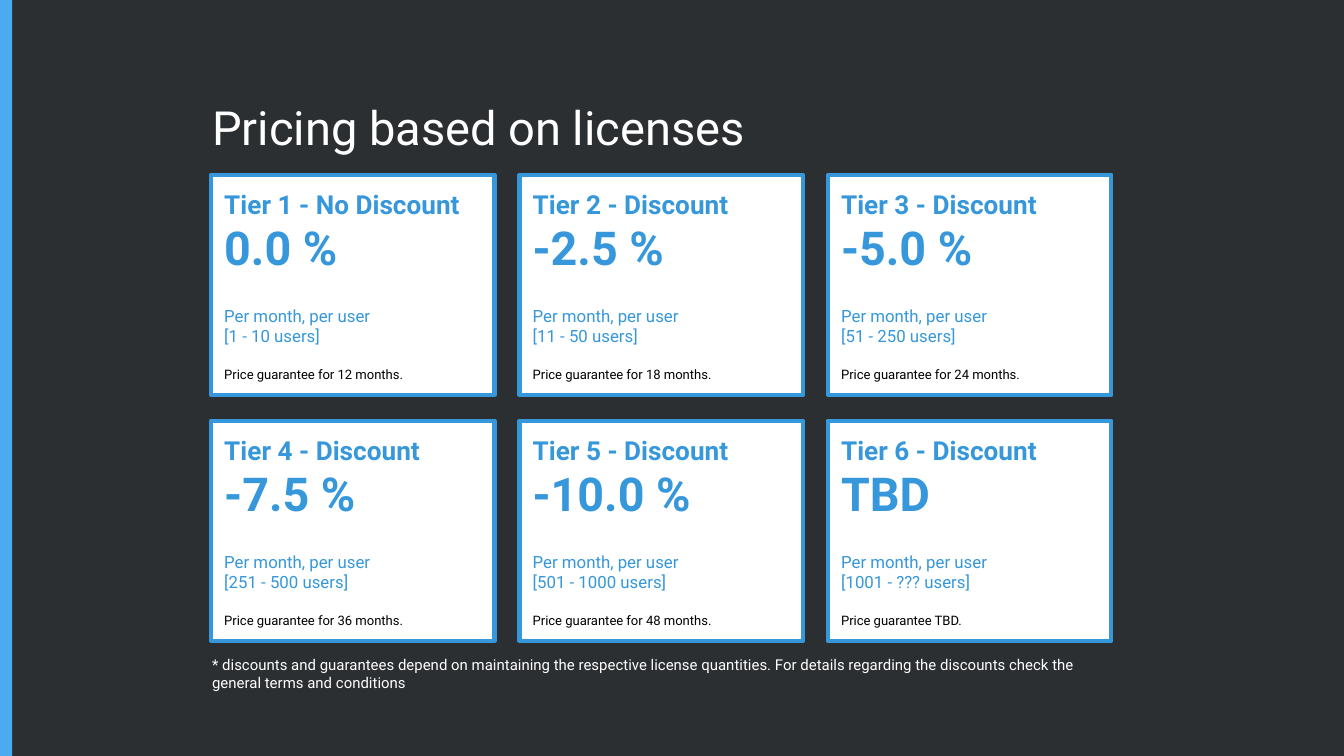
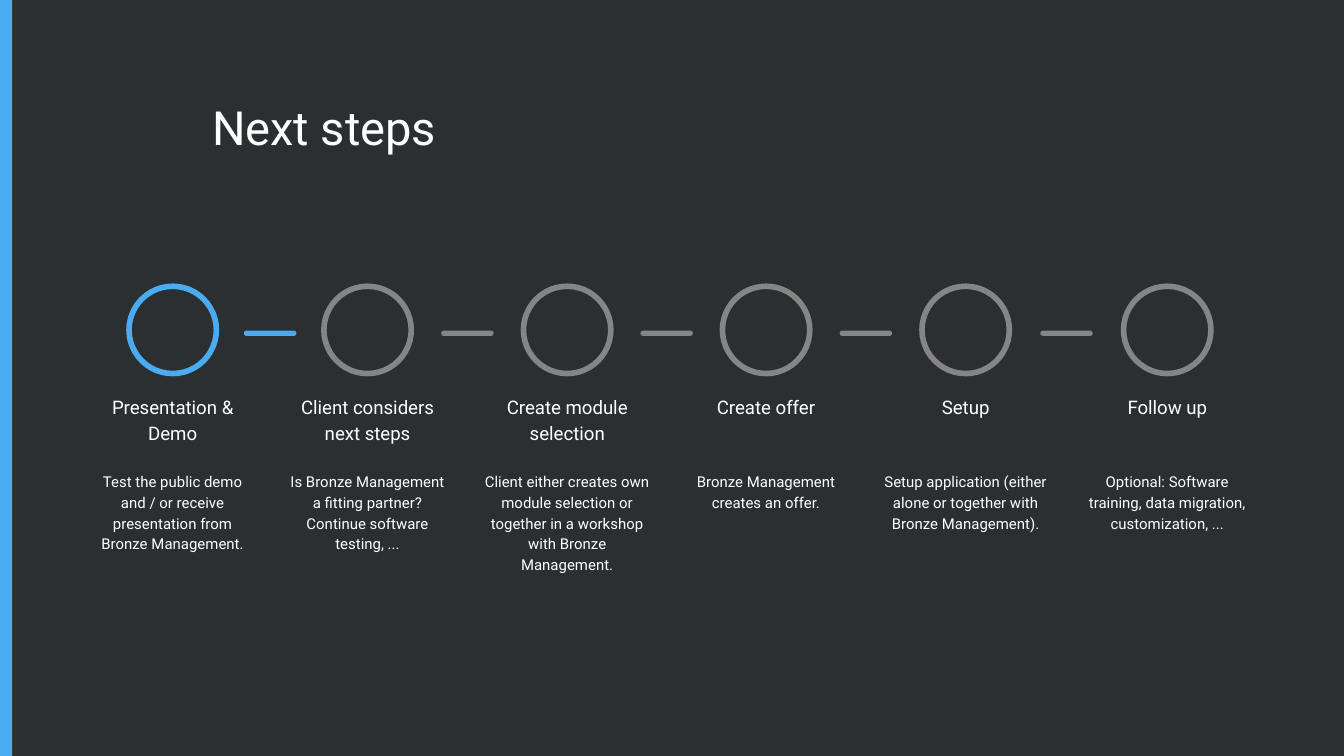
from dataclasses import dataclass

from pptx import Presentation
from pptx import util as u
from pptx.dml import color
from pptx.enum import shapes, text


@dataclass(frozen=True)
class Theme:
    """Colours, font and type sizes of the presentation."""
    background: str = "2C2F32"
    accent: str = "4AABF0"
    card: str = "3697DB"
    muted: str = "858585"
    light: str = "FFFFFF"
    dark: str = "000000"
    font: str = "Roboto"
    title: float = 25.2
    figure: float = 25
    tier: float = 14
    step: float = 10
    body: float = 9
    note: float = 8
    small: float = 7


def apply(target, values):
    """Set every attribute named in a dict of format values."""
    for name, value in values.items():
        setattr(target, name, value)


class Deck:
    """Draws elements on the current slide, on a grid of 100 columns of square cells."""

    def __init__(self, theme):
        """Open a presentation in 16:9 format."""
        self.theme = theme
        self.presentation = Presentation()
        apply(self.presentation, {"slide_width": u.Inches(10), "slide_height": u.Inches(5.625)})
        self.cell = self.presentation.slide_width / 100
        self.rows = self.presentation.slide_height / self.cell
        self.slide = None

    def box(self, *cells):
        """Turn left, top, width and height in cells into lengths."""
        return [u.Emu(round(cell * self.cell)) for cell in cells]

    def new_slide(self, title):
        """Start a slide with background, side band and title."""
        self.slide = self.presentation.slides.add_slide(self.presentation.slide_layouts[6])
        fill = self.slide.background.fill
        fill.solid()
        fill.fore_color.rgb = color.RGBColor.from_string(self.theme.background)
        self.shape("RECTANGLE", (0, 0, 0.9, self.rows), fill=self.theme.accent)
        self.text((14.8, 6.3, 70.3, 6.3), [self.line(title, self.theme.title)])

    def line(self, words, size, ink=None, bold=False, **spacing):
        """Describe one paragraph."""
        font = {"name": self.theme.font, "size": u.Pt(size), "bold": bold}
        return words, font, ink or self.theme.light, spacing

    def fill_text(self, shape, lines, **frame_format):
        """Fill a shape with paragraphs."""
        frame = shape.text_frame
        margins = dict.fromkeys(
            ("margin_left", "margin_top", "margin_right", "margin_bottom"), u.Inches(0.1))
        apply(frame, {"word_wrap": True, **margins, **frame_format})
        for index, (words, font, ink, spacing) in enumerate(lines):
            paragraph = frame.add_paragraph() if index else frame.paragraphs[0]
            apply(paragraph, {"alignment": text.PP_ALIGN.LEFT, **spacing})
            run = paragraph.add_run()
            run.text = words
            apply(run.font, font)
            run.font.color.rgb = color.RGBColor.from_string(ink)

    def text(self, cells, lines, **frame_format):
        """Add a text box."""
        shape = self.slide.shapes.add_textbox(*self.box(*cells))
        self.fill_text(shape, lines, **{"vertical_anchor": text.MSO_ANCHOR.TOP, **frame_format})

    def shape(self, kind, cells, fill=None, outline=None, weight=0):
        """Add a preset shape with an optional fill and outline."""
        shape = self.slide.shapes.add_shape(
            getattr(shapes.MSO_SHAPE, kind), *self.box(*cells))
        shape.shadow.inherit = False
        for part, ink in ((shape.fill, fill), (shape.line.fill, outline)):
            if ink:
                part.solid()
                part.fore_color.rgb = color.RGBColor.from_string(ink)
            else:
                part.background()
        if outline:
            shape.line.width = u.Pt(weight)
        return shape

    def price_card(self, column, row, tier, figure, users, guarantee):
        """Add a bordered card for one price tier."""
        theme = self.theme
        cells = (15.7 + 22.95 * column, 13 + 18.3 * row, 21.1, 16.4)
        card = self.shape("RECTANGLE", cells, theme.light, theme.card, 2.25)
        self.fill_text(card, [
            self.line(tier, theme.tier, theme.card, True),
            self.line(figure, theme.figure, theme.card, True),
            self.line("Per month, per user", theme.body, theme.card, space_before=u.Pt(16.4)),
            self.line(f"[{users} users]", theme.body, theme.card),
            self.line(f"Price guarantee {guarantee}.", theme.small, theme.dark,
                      space_before=u.Pt(9.4), line_spacing=1.15),
        ], vertical_anchor=text.MSO_ANCHOR.MIDDLE)

    def step(self, center, width, ink, heading, detail):
        """Add a ring with a heading and a description below."""
        spacing = {"alignment": text.PP_ALIGN.CENTER, "line_spacing": 1.15}
        left = center - width / 2
        self.shape("OVAL", (center - 3.25, 21.3, 6.5, 6.5), outline=ink, weight=3)
        self.text((left, 29, width, 4.9), [self.line(heading, self.theme.step, **spacing)],
                  margin_top=u.Inches(0.02))
        self.text((left, 34, width, 8.1), [self.line(detail, self.theme.note, **spacing)])

    def dash(self, center, ink):
        """Add a rounded dash between two steps."""
        dash = self.shape("ROUNDED_RECTANGLE", (center - 1.95, 24.6, 3.9, 0.4), fill=ink)
        dash.adjustments[0] = 0.5


TIERS = [
    ("Tier 1 - No Discount", "0.0 %", "1 - 10", "for 12 months"),
    ("Tier 2 - Discount", "-2.5 %", "11 - 50", "for 18 months"),
    ("Tier 3 - Discount", "-5.0 %", "51 - 250", "for 24 months"),
    ("Tier 4 - Discount", "-7.5 %", "251 - 500", "for 36 months"),
    ("Tier 5 - Discount", "-10.0 %", "501 - 1000", "for 48 months"),
    ("Tier 6 - Discount", "TBD", "1001 - ???", "TBD"),
]
FOOTNOTE = ("* discounts and guarantees depend on maintaining the respective license quantities. "
            "For details regarding the discounts check the general terms and conditions")
STEPS = [
    (12.85, 14.3, "Presentation & Demo",
     "Test the public demo and / or receive presentation from Bronze Management."),
    (27.35, 14.3, "Client considers next steps",
     "Is Bronze Management a fitting partner? Continue software testing, ..."),
    (42.2, 14.9, "Create module selection",
     "Client either creates own module selection or together in a workshop "
     "with Bronze Management."),
    (57, 14.3, "Create offer", "Bronze Management creates an offer."),
    (71.85, 14.9, "Setup",
     "Setup application (either alone or together with Bronze Management)."),
    (86.85, 14.9, "Follow up",
     "Optional: Software training, data migration, customization, ..."),
]


def main():
    """Build both slides and save the presentation."""
    theme = Theme()
    deck = Deck(theme)

    deck.new_slide("Pricing based on licenses")
    for index, tier in enumerate(TIERS):
        row, column = divmod(index, 3)
        deck.price_card(column, row, *tier)
    deck.text((14.8, 47.8, 68.4, 4.7), [deck.line(FOOTNOTE, theme.note)])

    deck.new_slide("Next steps")
    for index, (center, width, heading, detail) in enumerate(STEPS):
        ink = theme.muted if index else theme.accent
        deck.step(center, width, ink, heading, detail)
        if index + 1 < len(STEPS):
            deck.dash((center + STEPS[index + 1][0]) / 2, ink)

    deck.presentation.save("out.pptx")


main()
